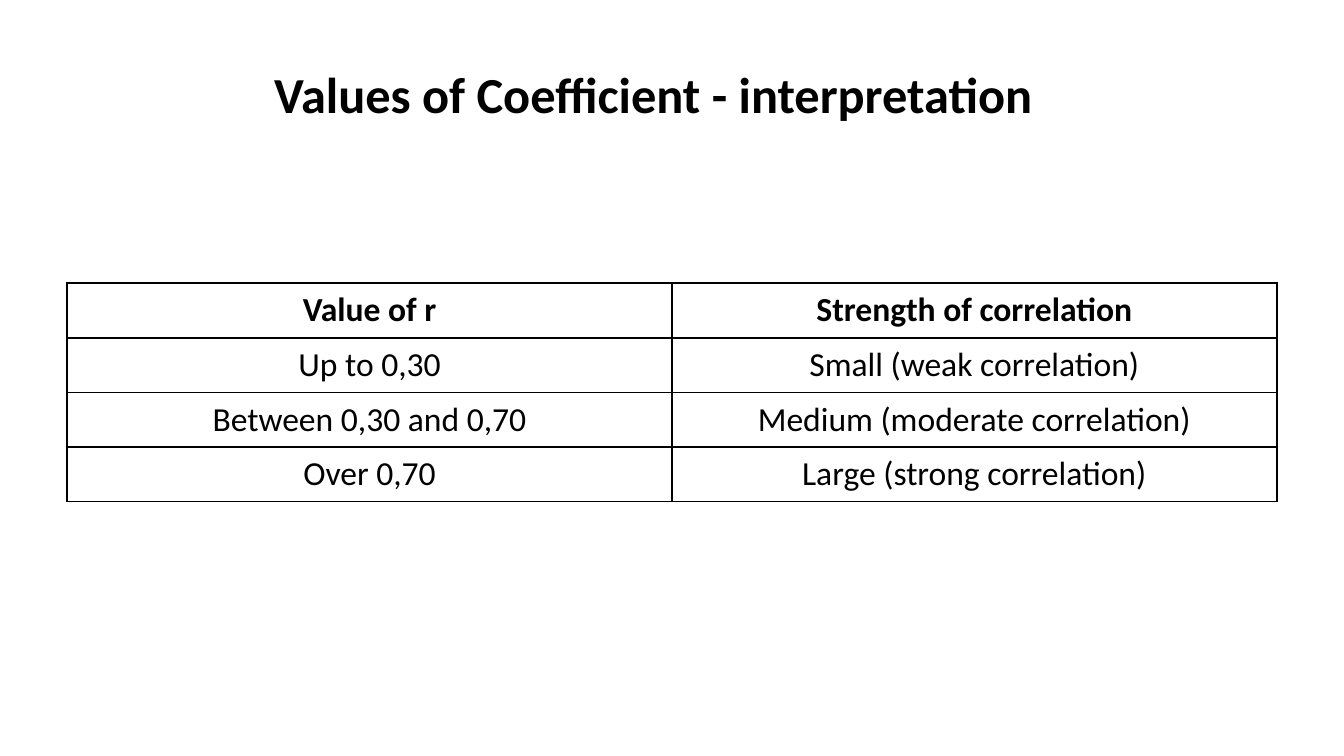
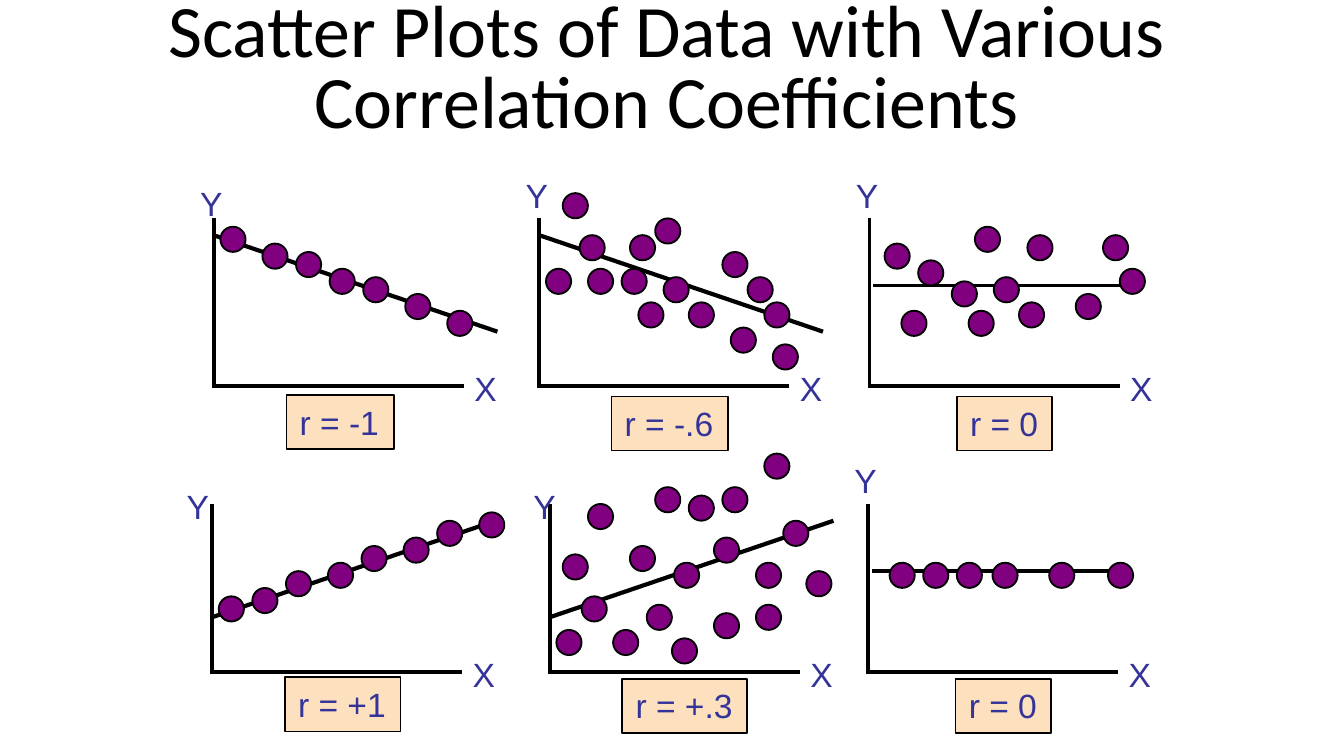
from dataclasses import dataclass

from lxml import etree
from pptx import Presentation
from pptx.dml.color import RGBColor
from pptx.enum.shapes import MSO_CONNECTOR as CONN, MSO_SHAPE as SHAPE
from pptx.enum.text import MSO_ANCHOR as ANCHOR, MSO_AUTO_SIZE as FIT, PP_ALIGN as ALIGN
from pptx.oxml.ns import qn
from pptx.util import Pt

COLORS = {"ink": "000000", "paper": "FFFFFF", "label": "333399",
          "dot": "800080", "box": "FDE0BD"}
TITLE_FONT, PLOT_FONT = "Calibri", "Arial"

STEP = 4.5  # grid on which the dots lie
DOT = 13.5
DOT_SHIFT = 3.6  # from the Y axis to the first grid column
AXIS_W, AXIS_H = 134, 90
LABEL_W, LABEL_H = 26.6, 29
TREND_RUN, TREND_HIGH, TREND_LOW, TREND_MID = 152, 81, 29.3, 54

ROWS = [
    ("Value of r", "Strength of correlation"),
    ("Up to 0,30", "Small (weak correlation)"),
    ("Between 0,30 and 0,70", "Medium (moderate correlation)"),
    ("Over 0,70", "Large (strong correlation)"),
]


@dataclass
class Plot:
    """Axis origin, trend, label places relative to it, and dots in grid steps."""
    x: float
    base: float
    trend: str
    y_label: tuple
    r_text: str
    r_box: tuple
    dots: list


PLOTS = [
    Plot(114.5, 207, "down", (-14.4, 112.5), "r = -1", (39, 4.7, 57.6),
         [(0, 19), (5, 17), (9, 16), (13, 14), (17, 13), (22, 11), (27, 9)]),
    Plot(288.9, 207, "down", (-14.4, 117), "r = -.6", (38.7, 5.4, 62.6),
         [(0, 14), (2, 23), (4, 18), (5, 14), (9, 14), (10, 18), (11, 10), (13, 20),
          (14, 13), (17, 10), (21, 16), (22, 7), (24, 13), (26, 10), (27, 5)]),
    Plot(465.8, 207, "flat", (-14.4, 117), "r = 0", (46.8, 5.4, 51.1),
         [(1, 17), (3, 9), (5, 15), (9, 12.5), (11, 9), (11.75, 19), (14, 13),
          (17, 10), (18, 18), (23.75, 11), (27, 18), (29, 14)]),
    Plot(113.6, 360, "up", (-20.7, 103.5), "r = +1", (39, 2.9, 62),
         [(0, 9), (4, 10), (8, 12), (13, 13), (17, 15), (22, 16), (26, 18), (31, 19)]),
    Plot(294.5, 360, "up", (-15.8, 103.5), "r = +.3", (38.9, 3.6, 67),
         [(0, 5), (0.75, 14), (3, 9), (3.75, 20), (6.75, 5), (8.75, 15), (10.75, 8),
          (11.75, 22), (13.75, 4), (14, 13), (15.75, 21), (18.75, 16), (18.75, 7),
          (19.75, 22), (23.75, 13), (23.75, 8), (24.75, 26), (27, 18), (29.75, 12)]),
    Plot(465.1, 360, "flat", (-14.4, 117), "r = 0", (46.8, 3.6, 51.1),
         [(1.75, 13), (5.75, 13), (9.75, 13), (14, 13), (20.75, 13), (27.75, 13)]),
]


def rgb(name):
    return RGBColor.from_string(COLORS[name])


def pts(*values):
    return [Pt(v) for v in values]


def style(p, font, size, color, bold=False, align=ALIGN.LEFT):
    p.alignment = align
    for r in p.runs:
        r.font.name, r.font.size, r.font.bold = font, Pt(size), bold
        r.font.color.rgb = rgb(color)


def add_title(s, text, box, size, bold=False, spacing=1.0):
    tf = s.shapes.add_textbox(*pts(*box)).text_frame
    tf.text = text
    tf.word_wrap = True
    tf.vertical_anchor = ANCHOR.MIDDLE
    p = tf.paragraphs[0]
    p.line_spacing = spacing
    style(p, TITLE_FONT, size, "ink", bold, ALIGN.CENTER)


def add_line(s, x1, y1, x2, y2, width=2):
    ln = s.shapes.add_connector(CONN.STRAIGHT, *pts(x1, y1, x2, y2))
    ln.line.color.rgb = rgb("ink")
    ln.line.width = Pt(width)
    etree.SubElement(ln._element.spPr, qn("a:effectLst"))


def add_filled(s, kind, box, fill):
    sp = s.shapes.add_shape(kind, *pts(*box))
    sp.shadow.inherit = False
    sp.fill.solid()
    sp.fill.fore_color.rgb = rgb(fill)
    sp.line.color.rgb = rgb("ink")
    sp.line.width = Pt(1)
    return sp


def set_label(sp, text):
    tf = sp.text_frame
    tf.text = text
    tf.word_wrap = False
    tf.auto_size = FIT.SHAPE_TO_FIT_TEXT
    tf.vertical_anchor = ANCHOR.TOP
    style(tf.paragraphs[0], PLOT_FONT, 18, "label")


def add_label(s, text, x, y):
    set_label(s.shapes.add_textbox(*pts(x, y, LABEL_W, LABEL_H)), text)


def border_cell(cell):
    tc_pr = cell._tc.get_or_add_tcPr()
    for side in ("lnL", "lnR", "lnT", "lnB"):
        ln = etree.SubElement(tc_pr, qn(f"a:{side}"), w=str(Pt(1)))
        fill = etree.SubElement(ln, qn("a:solidFill"))
        etree.SubElement(fill, qn("a:srgbClr"), val=COLORS["ink"])


def add_grid_table(s, rows, box):
    table = s.shapes.add_table(len(rows), len(rows[0]), *pts(*box)).table
    table.first_row = table.horz_banding = False
    for i, row in enumerate(rows):
        for j, text in enumerate(row):
            cell = table.cell(i, j)
            cell.text = text
            border_cell(cell)
            cell.fill.background()
            style(cell.text_frame.paragraphs[0], TITLE_FONT, 18, "ink",
                  i == 0, ALIGN.CENTER)


def add_trend(s, plot):
    x, base = plot.x, plot.base
    if plot.trend == "flat":
        add_line(s, x + 2, base - TREND_MID, x + 137, base - TREND_MID)
        return
    start, end = TREND_HIGH, TREND_LOW
    if plot.trend == "up":
        start, end = end, start
    add_line(s, x, base - start, x + TREND_RUN, base - end, 2.25)


def add_scatter(s, plot):
    x, base = plot.x, plot.base
    add_line(s, x, base - AXIS_H, x, base)
    add_line(s, x - 1, base, x + AXIS_W, base)
    add_trend(s, plot)
    for col, row in plot.dots:
        left = x + DOT_SHIFT + col * STEP
        add_filled(s, SHAPE.OVAL, (left, base - row * STEP, DOT, DOT), "dot")
    dx, up = plot.y_label
    add_label(s, "Y", x + dx, base - up)
    add_label(s, "X", x + 132.5, base - 13.5)
    dx, down, width = plot.r_box
    box = (x + dx, base + down, width, LABEL_H)
    set_label(add_filled(s, SHAPE.RECTANGLE, box, "box"), plot.r_text)


def new_slide(prs):
    s = prs.slides.add_slide(prs.slide_layouts[6])
    s.background.fill.solid()
    s.background.fill.fore_color.rgb = rgb("paper")
    return s


def main():
    prs = Presentation()
    prs.slide_width, prs.slide_height = pts(720, 405)

    s = new_slide(prs)
    add_title(s, "Values of Coefficient - interpretation",
              (26, 16.5, 648, 67.5), 27, bold=True)
    add_grid_table(s, ROWS, (36, 151.75, 648, 117))

    s = new_slide(prs)
    add_title(s, "Scatter Plots of Data with Various Correlation Coefficients",
              (42, 4.5, 630, 67.5), 39.6, spacing=0.8)
    for plot in PLOTS:
        add_scatter(s, plot)

    prs.save("out.pptx")


if __name__ == "__main__":
    main()
